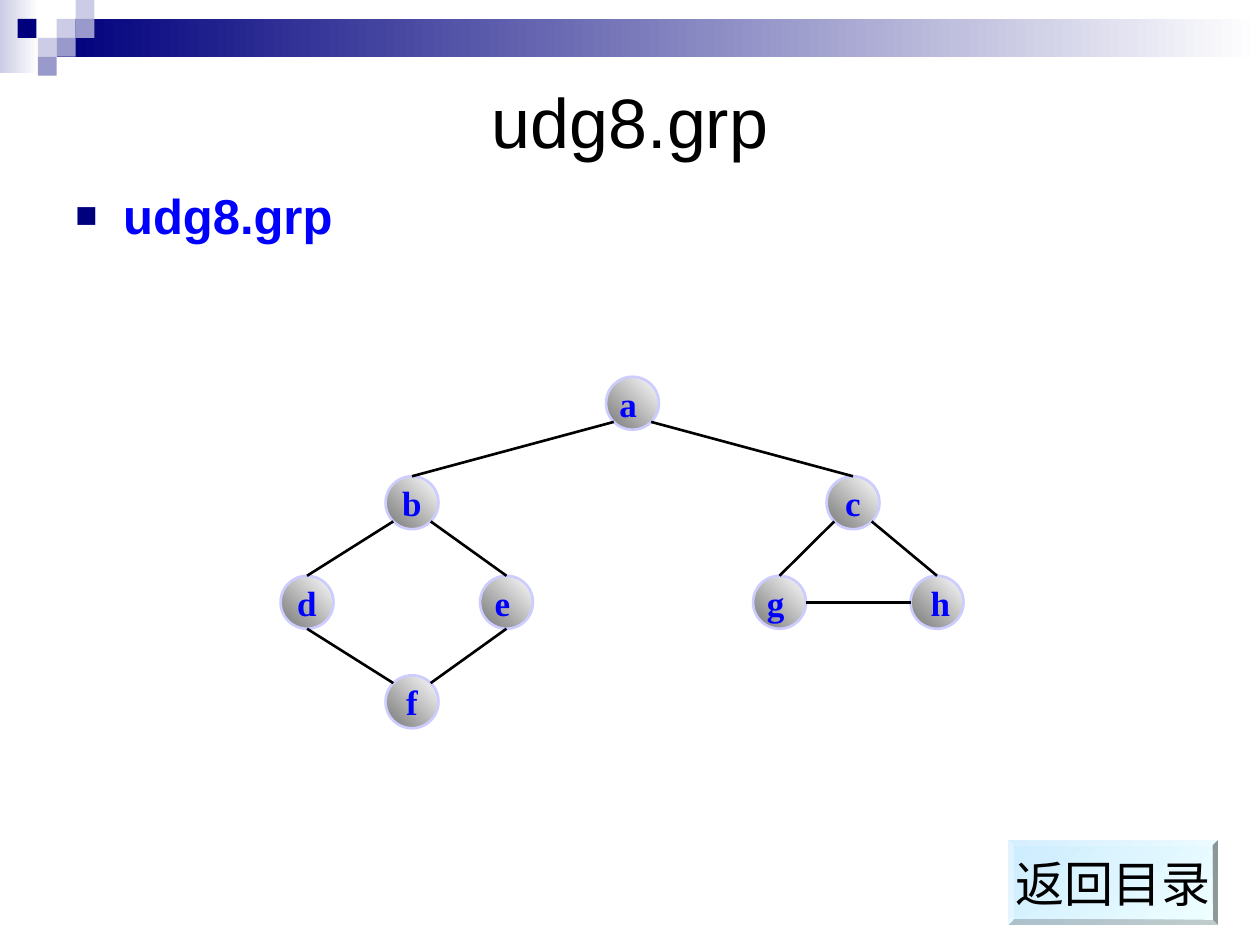
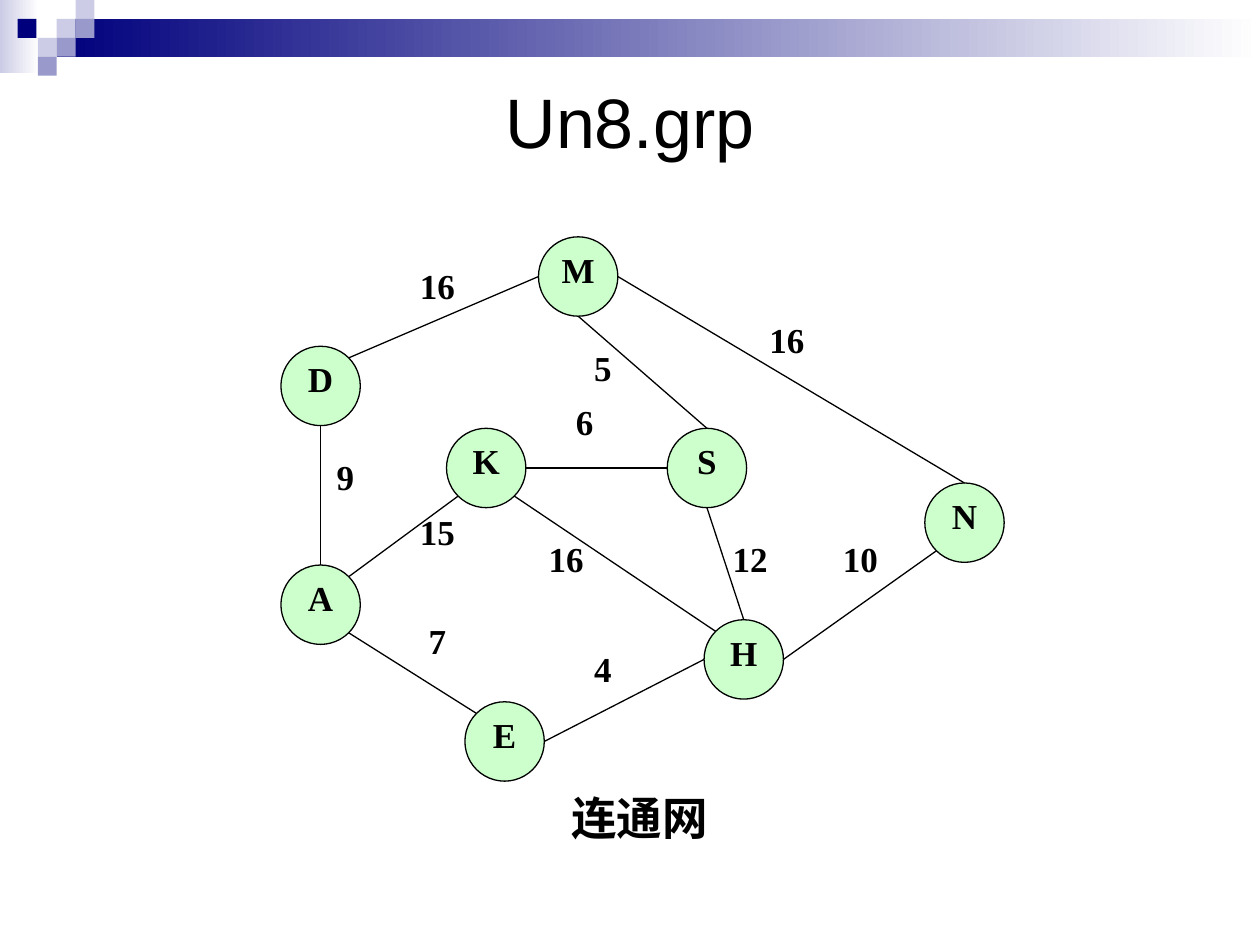
import math
import pptx
import pptx.util
import pptx.dml.color
import pptx.enum.shapes
import pptx.enum.text
import pptx.oxml.ns
import lxml.etree

WIDE, HIGH = 10, 7.5
SANS, SERIF = "Arial", "Times New Roman"
COLORS = {
    "black": "000000", "white": "FFFFFF", "navy": "00007D", "blue": "0000FF",
    "pale": "CCCCE6", "mid": "9999CC", "rim": "CCCCFF", "gray": "767676",
    "mint": "CCFFCC", "ice": "F0FFFF", "sky": "CCECFF",
}
SHAPE = pptx.enum.shapes.MSO_SHAPE
ALIGN = pptx.enum.text.PP_ALIGN
ANCHOR = pptx.enum.text.MSO_ANCHOR
SITES = {"E": 0, "SE": 45, "S": 90, "SW": 135, "W": 180, "NW": 225, "N": 270, "NE": 315}

TILE = 0.15
TILES = [
    (3, 1, "pale"), (4, 0, "pale"), (4, 1, "mid"), (2, 2, "pale"),
    (0.93, 1, "navy"), (3, 2, "mid"), (2, 3, "mid"),
]

TREE_COL, TREE_ROW, TREE_SIZE = 1 / 12, 0.79, 0.42
TREE = {
    "a": (0, 0, [("a ", 20)]),
    "b": (-21, 1, [("b", 20)]),
    "c": (21, 1, [("c", 20)]),
    "d": (-31, 2, [("d", 20)]),
    "e": (-12, 2, [("e", 20), (" ", 18)]),
    "g": (14, 2, [("g", 20), (" ", 18)]),
    "h": (29, 2, [("h", 20), (" ", 18)]),
    "f": (-21, 3, [("f", 20)]),
}
TREE_LINKS = [
    "a SW b N", "a SE c N", "b SW d N", "b SE e N", "e S f NE",
    "d S f NW", "c SW g N", "c SE h N", "g E h W",
]

NET_COL, NET_ROW, NET_SIZE = 5.11 / 35, 3.69 / 17, 0.63
NET = {
    "M": (14, 0), "D": (0, 4), "A": (0, 12), "S": (21, 7),
    "K": (9, 7), "H": (23, 14), "E": (10, 17), "N": (35, 9),
}
NET_LINKS = [
    "D NE M W", "D S A N", "A SE E NW", "A NE K SW", "K SE H NW", "S S H N",
    "K E S W", "H E N SW", "E E H W", "M E N N", "M S S N",
]
COSTS = [
    ("16", 7, 1), ("16", 26, 3), ("5", 16, 4), ("9", 2, 8), ("6", 15, 6),
    ("12", 24, 11), ("16", 14, 11), ("10", 30, 11), ("15", 7, 10),
    ("4", 16, 15), ("7", 7, 14),
]


def tint(name):
    return pptx.dml.color.RGBColor.from_string(COLORS[name])


def inch(*sizes):
    return [pptx.util.Inches(size) for size in sizes]


def paint(shape, fill, angle=0):
    if isinstance(fill, str):
        shape.fill.solid()
        shape.fill.fore_color.rgb = tint(fill)
        return
    shape.fill.gradient()
    shape.fill.gradient_angle = angle
    for stop, name in zip(shape.fill.gradient_stops, fill):
        stop.color.rgb = tint(name)


def draw(pen, kind, box, fill, angle=0, edge=None, weight=0):
    shape = pen.add_shape(kind, *inch(*box))
    shape.shadow.inherit = False
    paint(shape, fill, angle)
    if edge:
        shape.line.color.rgb = tint(edge)
        shape.line.width = pptx.util.Pt(weight)
    else:
        shape.line.fill.background()
    return shape


def write(shape, runs, font, color, bold=False, align=ALIGN.CENTER,
          anchor=ANCHOR.TOP, inset=(0.1, 0.05), wrap=True):
    frame = shape.text_frame
    frame.auto_size = pptx.enum.text.MSO_AUTO_SIZE.NONE
    frame.word_wrap = wrap
    frame.vertical_anchor = anchor
    frame.margin_left = frame.margin_right = pptx.util.Inches(inset[0])
    frame.margin_top = frame.margin_bottom = pptx.util.Inches(inset[1])
    para = frame.paragraphs[0]
    para.alignment = align
    for text, size in runs:
        run = para.add_run()
        run.text = text
        run.font.name = font
        run.font.size = pptx.util.Pt(size)
        run.font.bold = bold
        run.font.color.rgb = tint(color)
    return para


def mark(para, char, color, share, indent):
    props = para._p.get_or_add_pPr()
    step = pptx.util.Inches(indent)
    props.set("marL", str(step))
    props.set("indent", str(-step))

    def add(parent, tag, **attrs):
        return lxml.etree.SubElement(parent, pptx.oxml.ns.qn(tag), attrs)

    add(add(props, "a:buClr"), "a:srgbClr", val=COLORS[color])
    add(props, "a:buSzPct", val=str(share * 1000))
    add(props, "a:buFont", typeface=SANS)
    add(props, "a:buChar", char=char)


def rim(center, size, site):
    turn = math.radians(SITES[site])
    return (center[0] + size / 2 * math.cos(turn),
            center[1] + size / 2 * math.sin(turn))


def link(pen, spots, size, route, weight):
    first, leave, last, enter = route.split()
    start = rim(spots[first], size, leave)
    end = rim(spots[last], size, enter)
    line = pen.add_connector(pptx.enum.shapes.MSO_CONNECTOR.STRAIGHT,
                             *inch(*start, *end))
    line.line.color.rgb = tint("black")
    line.line.width = pptx.util.Pt(weight)
    lxml.etree.SubElement(line.element.spPr, pptx.oxml.ns.qn("a:effectLst"))


def node(pen, center, size, **style):
    box = (center[0] - size / 2, center[1] - size / 2, size, size)
    return draw(pen, SHAPE.OVAL, box, **style)


def add_bands(deck, slide):
    pen = slide.shapes
    parts = [
        draw(pen, SHAPE.RECTANGLE, (0, 0, 0.31, 0.58), ("white", "pale"), 180),
        draw(pen, SHAPE.RECTANGLE, (3 * TILE, TILE, WIDE - 3 * TILE, 2 * TILE),
             ("white", "navy"), 180),
    ]
    for col, row, color in TILES:
        box = (col * TILE, row * TILE, TILE, TILE)
        parts.append(draw(pen, SHAPE.RECTANGLE, box, color))
    for place, part in enumerate(parts, 2):
        deck.slide_master.shapes.element.insert(place, part.element)


def add_page(deck, title):
    slide = deck.slides.add_slide(deck.slide_layouts[5])
    head = slide.shapes.title
    head.left, head.top, head.width, head.height = inch(
        0.05 * WIDE, 0.5, 0.9 * WIDE, 0.92)
    write(head, [(title, 40)], SANS, "black", anchor=ANCHOR.MIDDLE)
    return slide


def add_tree(slide):
    pen = slide.shapes.add_group_shape().shapes
    spots = {name: (WIDE / 2 + 0.02 + col * TREE_COL, 3.2 + row * TREE_ROW)
             for name, (col, row, runs) in TREE.items()}
    for name, (col, row, runs) in TREE.items():
        ball = node(pen, spots[name], TREE_SIZE, fill=("white", "gray"),
                    angle=225, edge="rim", weight=1.5)
        write(ball, runs, SERIF, "blue", bold=True, anchor=ANCHOR.MIDDLE,
              align=ALIGN.LEFT if name == "h" else ALIGN.CENTER, wrap=False)
    for route in TREE_LINKS:
        link(pen, spots, TREE_SIZE, route, 1.5)


def add_button(slide, text):
    button = draw(slide.shapes, SHAPE.BEVEL, (0.8 * WIDE, 6.67, WIDE / 6, 0.67),
                  ("ice", "sky"), 135)
    button.adjustments[0] = 0.06
    write(button, [(text, 28)], SANS, "black", anchor=ANCHOR.MIDDLE, wrap=False)


def add_net(slide):
    pen = slide.shapes.add_group_shape().shapes

    def cell(col, row):
        return 2.23 + col * NET_COL, 1.88 + row * NET_ROW

    spots = {}
    for name, place in NET.items():
        spots[name] = tuple(side + NET_SIZE / 2 for side in cell(*place))
        ball = node(pen, spots[name], NET_SIZE, fill="mint",
                    edge="black", weight=0.74)
        write(ball, [(name, 20)], SERIF, "black", bold=True, inset=(0, 0))
    for route in NET_LINKS:
        link(pen, spots, NET_SIZE, route, 0.74)
    for cost, col, row in COSTS:
        label = pen.add_textbox(*inch(*cell(col, row), 3 * NET_COL, 2 * NET_ROW))
        write(label, [(cost, 20)], SERIF, "black", bold=True, inset=(0, 0))
    note = draw(pen, SHAPE.RECTANGLE,
                (*cell(3, 20), 33 * NET_COL, 3 * NET_ROW), "white")
    write(note, [("连通网", 26)], SERIF, "black", bold=True)


def main():
    deck = pptx.Presentation()
    deck.slide_width, deck.slide_height = inch(WIDE, HIGH)

    slide = add_page(deck, "udg8.grp")
    add_bands(deck, slide)
    body = slide.shapes.add_textbox(*inch(0.05 * WIDE, 1.42, 0.9 * WIDE, 5.33))
    para = write(body, [("udg8.grp", 28)], SANS, "blue", bold=True,
                 align=ALIGN.LEFT)
    para.space_before = pptx.util.Pt(7)
    mark(para, "■", "navy", 75, 0.38)
    add_tree(slide)
    add_button(slide, "返回目录")

    add_net(add_page(deck, "Un8.grp"))
    deck.save("out.pptx")


main()
